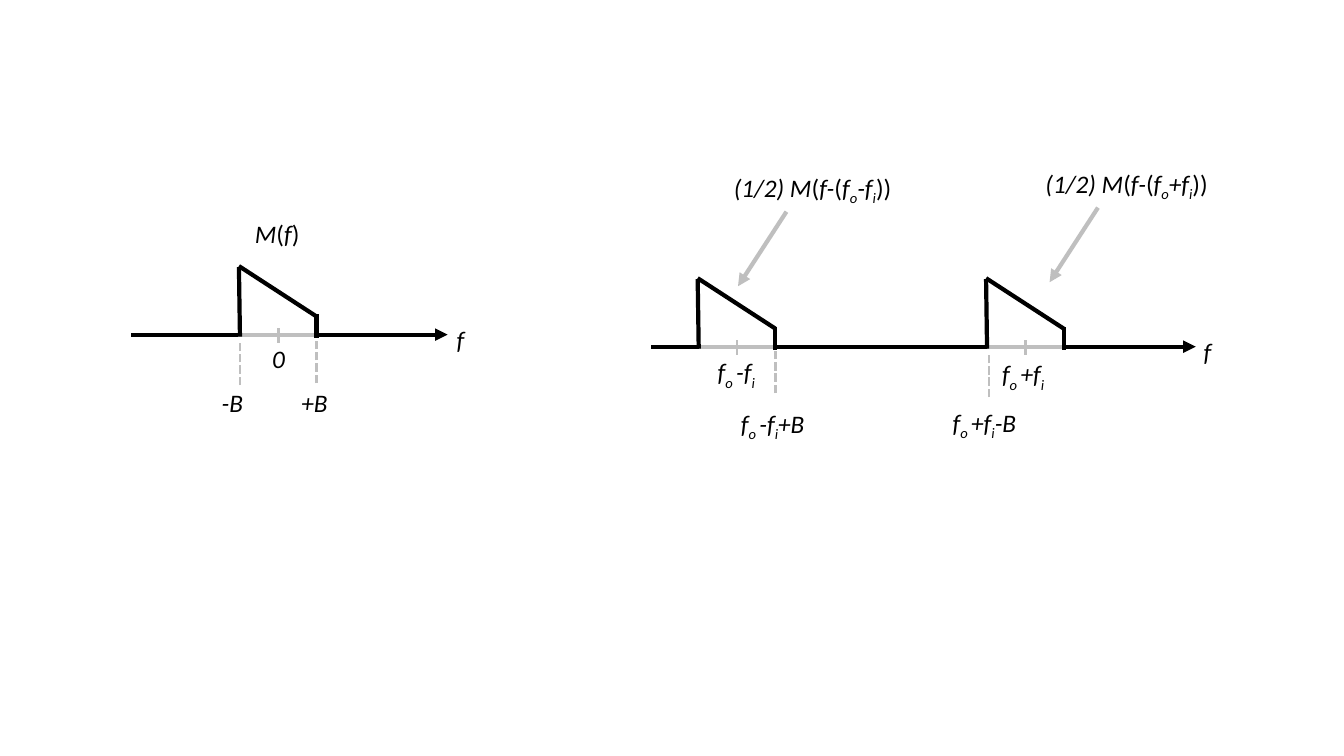
from lxml.etree import SubElement
from pptx import Presentation
from pptx.dml.color import RGBColor
from pptx.enum.dml import MSO_LINE
from pptx.enum.shapes import MSO_CONNECTOR
from pptx.enum.text import MSO_AUTO_SIZE
from pptx.oxml.ns import qn
from pptx.util import Inches, Pt

BLACK = RGBColor(0, 0, 0)
GRAY = RGBColor(0xBF, 0xBF, 0xBF)

# "|" parts the runs, "_" marks a subscript, "^" marks upright text
LABELS = [
    ("f", 11.84, 3.29, 0.28),
    ("f", 4.43, 3.17, 0.28),
    ("M|^(|f|^)", 2.43, 2.12, 0.65),
    ("0", 2.6, 3.36, 0.33),
    ("-B", 2.1, 3.79, 0.42),
    ("+B", 2.89, 3.79, 0.46),
    ("(1/2) M|^(|f-|^(|f|_o|-f|_i|^))", 7.18, 1.66, 1.8),
    ("(1/2) M|^(|f-|^(|f|_o|+f|_i|^))", 10.27, 1.62, 1.85),
    ("f|_o |-f|_i", 7.02, 3.49, 0.59),
    ("f|_o |+f|_i", 9.84, 3.51, 0.64),
    ("f|_o |-f|_i|+B", 7.25, 4, 0.88),
    ("f|_o |+f|_i|-B", 9.35, 3.99, 0.88),
]
AXES = [(1.3, 4.44, 3.32), (6.46, 11.86, 3.44)]
BANDS = [(2.37, 3.32), (6.92, 3.44), (9.78, 3.44)]
LIMITS = [(2.38, 3.38), (3.14, 3.36), (7.69, 3.46), (9.81, 3.5)]
POINTERS = [(7.8, 2.1), (10.89, 2.06)]

deck = Presentation()
deck.slide_width, deck.slide_height = Inches(13.33), Inches(7.5)
slide = deck.slides.add_slide(deck.slide_layouts[6])


def draw(x1, y1, x2, y2, color, width=3, arrow=False, dash=False):
    ends = [Inches(v) for v in (x1, y1, x2, y2)]
    line = slide.shapes.add_connector(MSO_CONNECTOR.STRAIGHT, *ends)
    line.line.color.rgb = color
    line.line.width = Pt(width)
    if dash:
        line.line.dash_style = MSO_LINE.SQUARE_DOT
    if arrow:
        SubElement(line.line._get_or_add_ln(), qn("a:tailEnd"), type="triangle")
    SubElement(line._element.spPr, qn("a:effectLst"))


def write(text, left, top, width):
    box = slide.shapes.add_textbox(*[Inches(v) for v in (left, top, width, 0.4)])
    frame = box.text_frame
    frame.word_wrap = False
    frame.auto_size = MSO_AUTO_SIZE.SHAPE_TO_FIT_TEXT
    para = frame.paragraphs[0]
    para.font.name = "Calibri"
    para.font.size = Pt(18)
    para.font.color.rgb = BLACK
    for part in text.split("|"):
        run = para.add_run()
        run.text = part.lstrip("_^")
        run.font.italic = not part.startswith("^")
        if part.startswith("_"):
            run._r.get_or_add_rPr().set("baseline", "-25000")


for start, end, y in AXES:
    draw(start, y, end, y, BLACK, arrow=True)

for x, y in BANDS:
    draw(x - 0.01, y, x + 0.78, y, GRAY)
    draw(x + 0.39, y + 0.08, x + 0.39, y - 0.07, GRAY, 2)

for x, y in LIMITS:
    draw(x, y + 0.44, x, y, GRAY, 2, dash=True)

for x, y in BANDS:
    right = x + 0.77
    draw(x + 0.01, y + 0.02, x, y - 0.67, BLACK)
    draw(right, y - 0.18, x, y - 0.68, BLACK)
    draw(right, y + 0.03, right, y - 0.2, BLACK)

for x, y in POINTERS:
    draw(x, y, x - 0.48, y + 0.74, GRAY, arrow=True)

for label in LABELS:
    write(*label)

deck.save("out.pptx")
